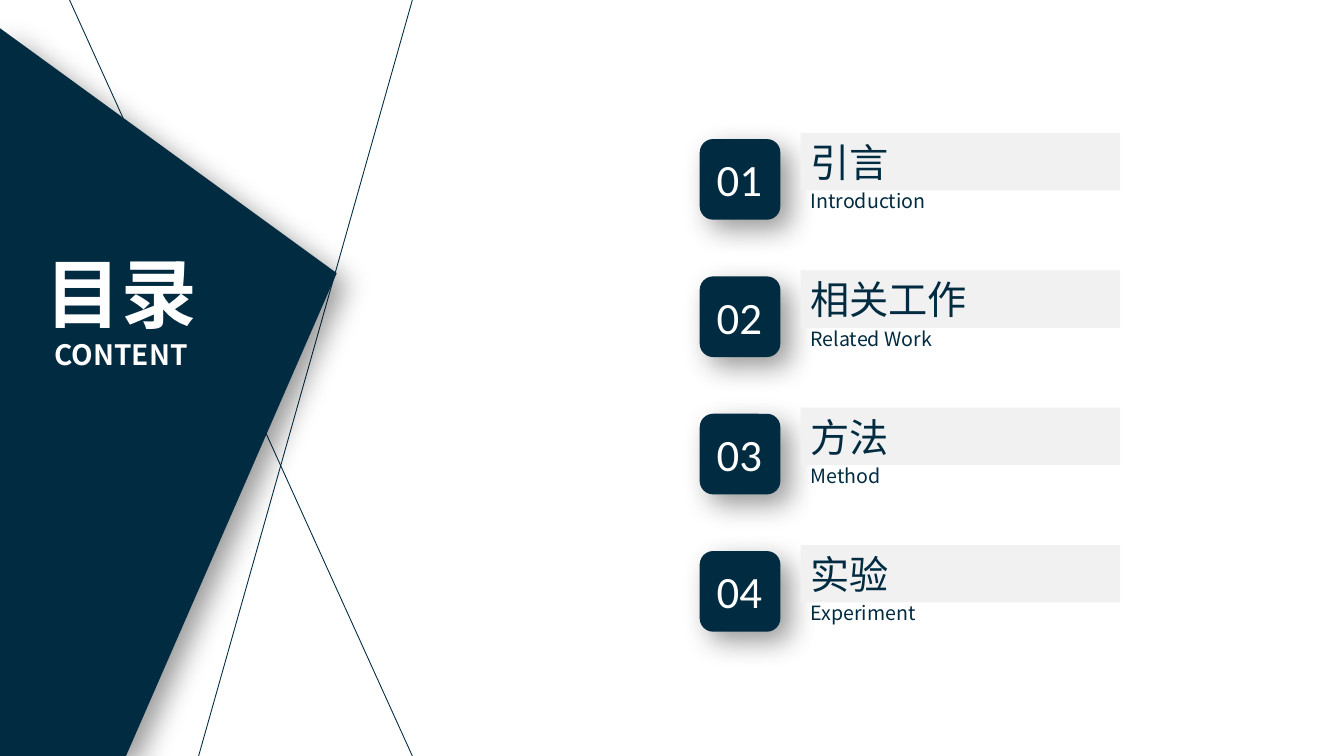
import lxml.etree
import pptx
import pptx.dml.color
import pptx.enum.shapes
import pptx.enum.text
import pptx.oxml
import pptx.oxml.ns
import pptx.util

SLIDE_WIDTH, SLIDE_HEIGHT = 13.33, 7.5
COLORS = {"navy": "002B41", "band": "F1F1F1", "white": "FFFFFF", "shade": "000000"}
CJK_FONT = "Noto Sans CJK SC"
FORMATS = {
    "title": {"name": CJK_FONT, "size": pptx.util.Pt(54), "bold": True, "color": "white"},
    "subtitle": {"name": CJK_FONT, "size": pptx.util.Pt(20), "bold": True, "color": "white"},
    "number": {"name": "Calibri", "size": pptx.util.Pt(32), "color": "white"},
    "heading": {"name": CJK_FONT, "size": pptx.util.Pt(28), "color": "navy"},
    "translation": {"name": CJK_FONT, "size": pptx.util.Pt(14), "color": "navy"},
}
CHAPTERS = [
    ("引言", "Introduction", 1.35),
    ("相关工作", "Related Work", 1.45),
    ("方法", "Method", 0.94),
    ("实验", "Experiment", 1.25),
]


def rgb(color):
    return pptx.dml.color.RGBColor.from_string(COLORS[color])


def inches(*lengths):
    return [pptx.util.Inches(length) for length in lengths]


def paint(part, color):
    part.fill.solid()
    part.fill.fore_color.rgb = rgb(color)
    part.line.fill.background()
    part.shadow.inherit = False


def add_soft_shadow(part):
    effects = part._element.spPr.find(pptx.oxml.ns.qn("a:effectLst"))
    effects.append(pptx.oxml.parse_xml(
        f'<a:outerShdw {pptx.oxml.ns.nsdecls("a")} blurRad="{pptx.util.Pt(20)}" '
        f'dist="{pptx.util.Pt(10)}" dir="2700000" algn="tl" rotWithShape="0">'
        f'<a:srgbClr val="{COLORS["shade"]}"><a:alpha val="40000"/></a:srgbClr>'
        '</a:outerShdw>'))


def write(part, lines, align, wrap=True):
    frame = part.text_frame
    frame.word_wrap = wrap
    frame.auto_size = pptx.enum.text.MSO_AUTO_SIZE.SHAPE_TO_FIT_TEXT
    for index, (text, style) in enumerate(lines):
        paragraph = frame.paragraphs[0] if index == 0 else frame.add_paragraph()
        paragraph.alignment = align
        run = paragraph.add_run()
        run.text = text
        for key, value in FORMATS[style].items():
            if key == "color":
                run.font.color.rgb = rgb(value)
            else:
                setattr(run.font, key, value)
        # East Asian characters take the same typeface
        east_asian = lxml.etree.SubElement(run._r.get_or_add_rPr(), pptx.oxml.ns.qn("a:ea"))
        east_asian.set("typeface", FORMATS[style]["name"])


def add_title_panel(slide, left, top, width, height):
    # Thin crossing lines
    for start, end in (((4.09, 0), (1.97, height)), ((4.09, height), (0.69, 0))):
        ray = slide.shapes.add_connector(
            pptx.enum.shapes.MSO_CONNECTOR.STRAIGHT,
            *inches(left + start[0], top + start[1], left + end[0], top + end[1]))
        ray.line.color.rgb = rgb("navy")
        ray.line.width = pptx.util.Pt(0.63)
        lxml.etree.SubElement(ray._element.spPr, pptx.oxml.ns.qn("a:effectLst"))

    # Dark wedge along the left edge
    corners = [(0, height), (0, 0.28), (width, 2.71), (1.25, height)]
    points = [inches(left + x, top + y) for x, y in corners]
    outline = slide.shapes.build_freeform(*points[0])
    outline.add_line_segments(points[1:], close=True)
    wedge = outline.convert_to_shape()
    paint(wedge, "navy")
    add_soft_shadow(wedge)

    # Title in two languages
    title = slide.shapes.add_textbox(*inches(left + 0.24, top + 2.4, 1.92, 1.35))
    write(title, [("目录", "title"), ("CONTENT", "subtitle")], pptx.enum.text.PP_ALIGN.CENTER)


def add_chapter(slide, left, top, width, number, heading, translation, translation_width):
    aligned_left = pptx.enum.text.PP_ALIGN.LEFT
    badge_size, text_left = 0.8, left + 1

    # Number badge
    badge = slide.shapes.add_shape(
        pptx.enum.shapes.MSO_SHAPE.ROUNDED_RECTANGLE,
        *inches(left, top + 0.06, badge_size, badge_size))
    paint(badge, "navy")
    add_soft_shadow(badge)
    numeral = slide.shapes.add_textbox(*inches(left + 0.07, top + 0.14, 0.66, 0.64))
    write(numeral, [(f"{number:02d}", "number")], aligned_left, wrap=False)

    # Translation below the heading band
    caption = slide.shapes.add_textbox(*inches(text_left, top + 0.51, translation_width, 0.34))
    write(caption, [(translation, "translation")], aligned_left, wrap=False)
    band = slide.shapes.add_shape(
        pptx.enum.shapes.MSO_SHAPE.RECTANGLE, *inches(text_left, top, width - 1, 0.57))
    paint(band, "band")
    write(band, [(heading, "heading")], aligned_left)


def add_chapter_list(slide, left, top, width, height):
    pitch = height / len(CHAPTERS)
    for index, chapter in enumerate(CHAPTERS):
        add_chapter(slide, left, top + index * pitch, width, index + 1, *chapter)


def main():
    deck = pptx.Presentation()
    deck.slide_width, deck.slide_height = inches(SLIDE_WIDTH, SLIDE_HEIGHT)
    contents = deck.slides.add_slide(deck.slide_layouts[6])
    add_title_panel(contents, 0, 0, 3.34, SLIDE_HEIGHT)
    add_chapter_list(contents, 6.94, 1.32, 4.17, 5.45)
    deck.save("out.pptx")


if __name__ == "__main__":
    main()
